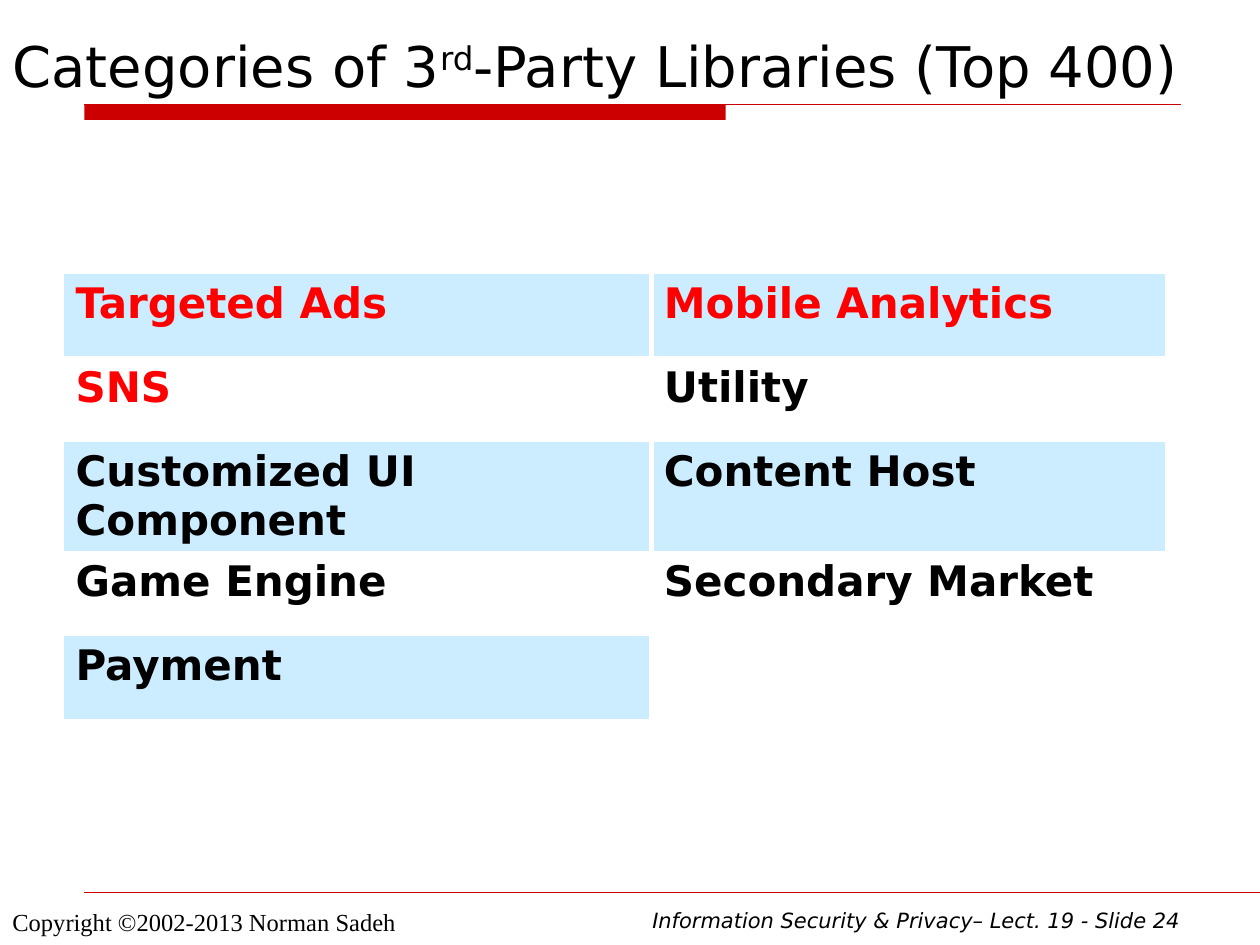
from pptx import Presentation
from pptx.dml.color import RGBColor
from pptx.enum.shapes import MSO_CONNECTOR, MSO_SHAPE
from pptx.enum.text import MSO_ANCHOR, MSO_AUTO_SIZE, PP_ALIGN
from pptx.oxml.ns import qn
from pptx.util import Cm, Pt
from lxml.etree import SubElement

RED = RGBColor(0xCC, 0x00, 0x00)
BRIGHT_RED = RGBColor(0xFF, 0x00, 0x00)
BLACK = RGBColor(0x00, 0x00, 0x00)
WHITE = RGBColor(0xFF, 0xFF, 0xFF)
PALE_BLUE = RGBColor(0xCC, 0xEC, 0xFF)

TITLE_FORMAT = {"name": "DejaVu Sans", "size": Pt(32), "bold": False}
CELL_FORMAT = {"name": "DejaVu Sans", "size": Pt(24), "bold": True}
COPYRIGHT_FORMAT = {"name": "Times New Roman", "size": Pt(14)}
LECTURE_FORMAT = {"name": "DejaVu Sans", "size": Pt(12), "italic": True}

TITLE_PARTS = [("Categories of 3", 0), ("rd", 30000), ("-Party Libraries (Top 400)", 0)]
CATEGORIES = [
    ("Targeted Ads", "Mobile Analytics"),
    ("SNS", "Utility"),
    ("Customized UI Component", "Content Host"),
    ("Game Engine", "Secondary Market"),
    ("Payment", ""),
]
HIGHLIGHTED = {"Targeted Ads", "Mobile Analytics", "SNS"}


def add_span(para, text, format_values, color=BLACK):
    span = para.add_run()
    span.text = text
    for name, value in format_values.items():
        setattr(span.font, name, value)
    span.font.color.rgb = color
    return span


def add_rule(page, left, top, width, weight):
    rule = page.shapes.add_connector(
        MSO_CONNECTOR.STRAIGHT, Cm(left), Cm(top), Cm(left + width), Cm(top))
    rule.line.color.rgb = RED
    rule.line.width = Pt(weight)
    SubElement(rule._element.spPr, qn("a:effectLst"))


def add_heading(page, left, top, width, height):
    title = page.shapes.title
    title.left, title.top, title.width, title.height = map(Cm, (left, top, width, height))
    frame = title.text_frame
    frame.vertical_anchor = MSO_ANCHOR.BOTTOM
    frame.auto_size = MSO_AUTO_SIZE.NONE
    para = frame.paragraphs[0]
    para.alignment = PP_ALIGN.LEFT
    for text, baseline in TITLE_PARTS:
        span = add_span(para, text, TITLE_FORMAT)
        if baseline:
            span._r.get_or_add_rPr().set("baseline", str(baseline))

    rule_left, rule_top = left + 1.7, top + height
    bar = page.shapes.add_shape(
        MSO_SHAPE.RECTANGLE, Cm(rule_left), Cm(rule_top), Cm(12.93), Cm(0.31))
    bar.shadow.inherit = False
    bar.fill.solid()
    bar.fill.fore_color.rgb = RED
    bar.line.fill.background()
    add_rule(page, rule_left, rule_top, 22.1, 0.75)


def add_column_border(cell, side):
    border = SubElement(cell._tc.get_or_add_tcPr(), qn("a:" + side), w=str(Pt(3)))
    fill = SubElement(border, qn("a:solidFill"))
    SubElement(fill, qn("a:srgbClr"), val=str(WHITE))


def add_categories(page, left, top, width, height):
    table = page.shapes.add_table(
        len(CATEGORIES), 2, Cm(left), Cm(top), Cm(width), Cm(height)).table
    table.first_row = table.horz_banding = False
    table.columns[0].width = Cm(11.86)
    table.columns[1].width = Cm(width - 11.86)
    for row, names in enumerate(CATEGORIES):
        for column, name in enumerate(names):
            cell = table.cell(row, column)
            add_column_border(cell, "lnL" if column else "lnR")
            if not name:
                cell.fill.background()
                continue
            cell.fill.solid()
            cell.fill.fore_color.rgb = WHITE if row % 2 else PALE_BLUE
            color = BRIGHT_RED if name in HIGHLIGHTED else BLACK
            add_span(cell.text_frame.paragraphs[0], name, CELL_FORMAT, color)


def add_note(page, left, top, width, height, text, format_values):
    box = page.shapes.add_textbox(Cm(left), Cm(top), Cm(width), Cm(height))
    box.text_frame.word_wrap = True
    add_span(box.text_frame.paragraphs[0], text, format_values)


def add_footer(page, left, top, width):
    add_rule(page, left + 1.7, top, width - 2.64, 0.25)
    add_note(page, left, top + 0.18, 8.6, 0.86,
             "Copyright ©2002-2013 Norman Sadeh", COPYRIGHT_FORMAT)
    add_note(page, left + 12.9, top + 0.2, 11.74, 0.76,
             "Information Security & Privacy– Lect. 19 - Slide 24", LECTURE_FORMAT)


def main():
    deck = Presentation()
    deck.slide_width, deck.slide_height = Cm(25.4), Cm(19.05)
    page = deck.slides.add_slide(deck.slide_layouts[5])
    add_heading(page, 0, 0.64, 26.67, 1.47)
    add_categories(page, 1.27, 5.5, 22.23, 8.47)
    add_footer(page, 0, 17.98, 26.34 - 0.0)
    deck.save("out.pptx")


if __name__ == "__main__":
    main()
